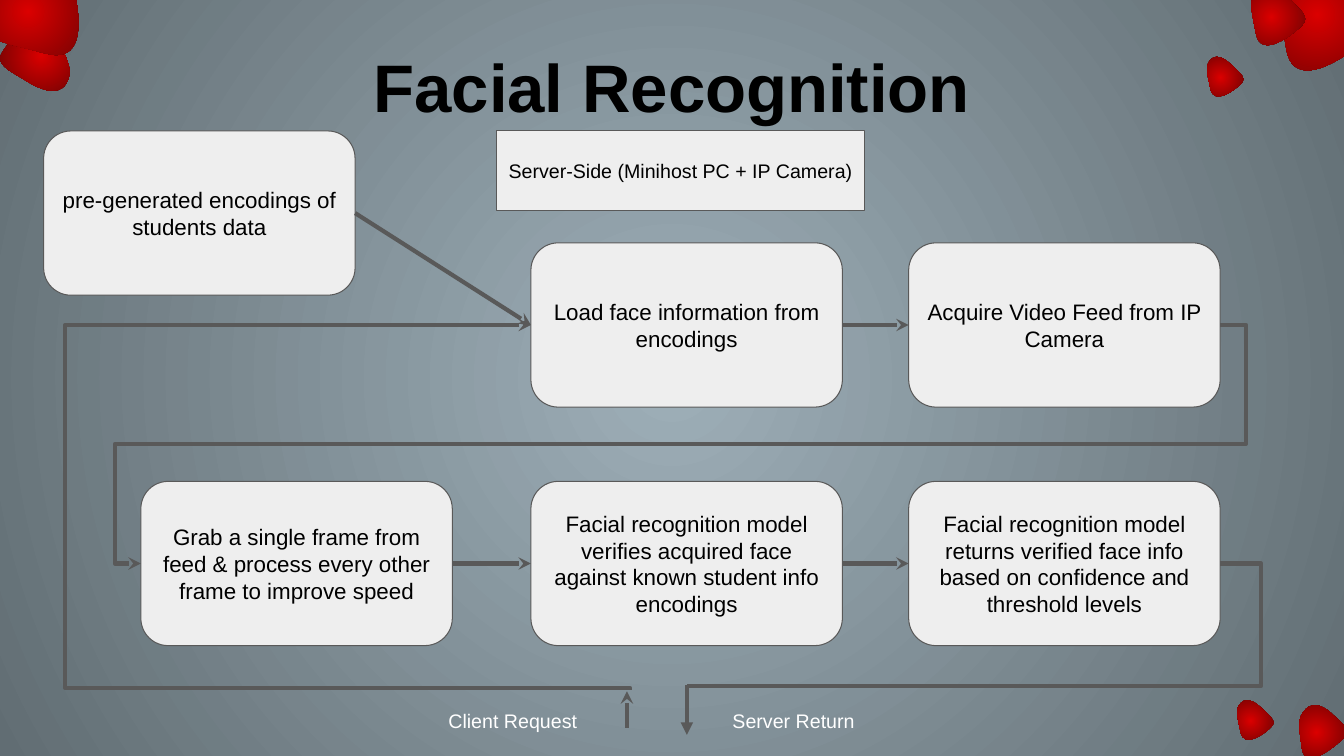
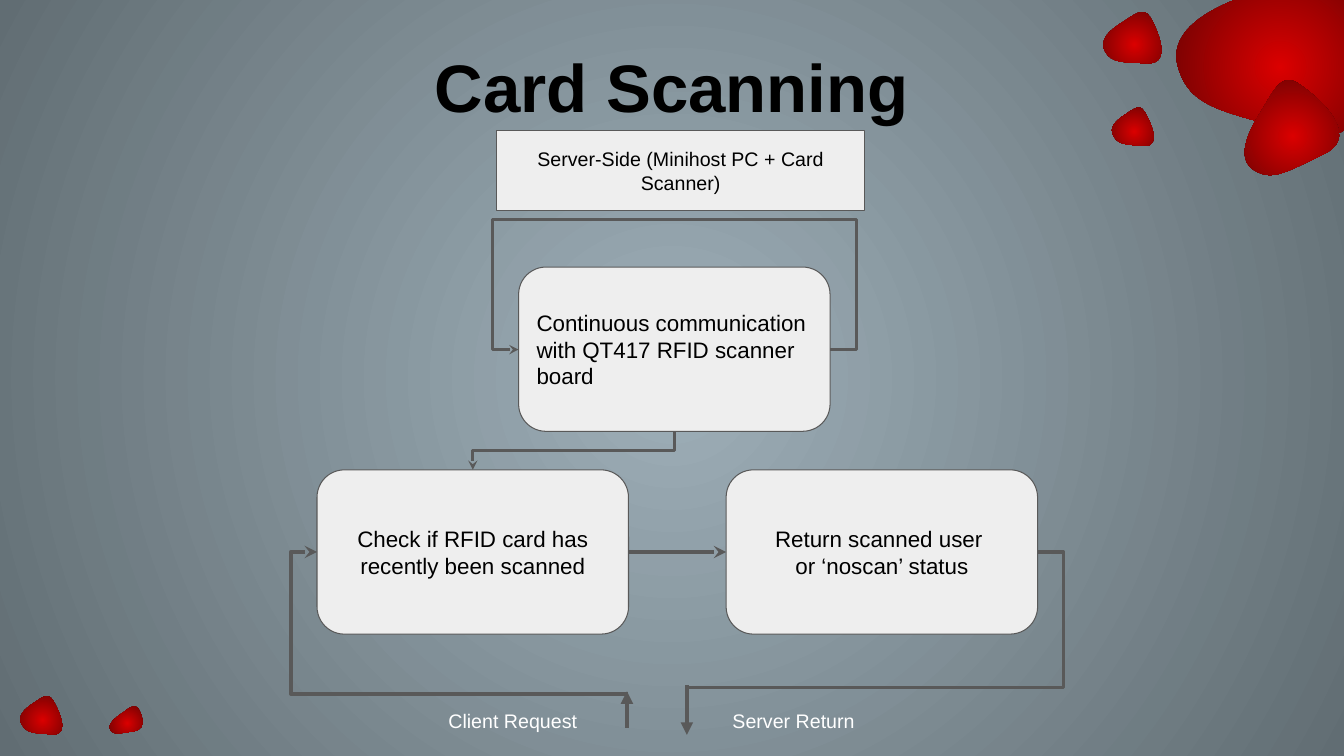
from lxml.etree import SubElement
from pptx import Presentation
from pptx.dml.color import RGBColor
from pptx.enum.shapes import MSO_CONNECTOR, MSO_SHAPE
from pptx.enum.text import MSO_ANCHOR, PP_ALIGN
from pptx.oxml.ns import qn
from pptx.util import Cm, Pt

FONT = "Arial"
BLACK = RGBColor(0x00, 0x00, 0x00)
WHITE = RGBColor(0xFF, 0xFF, 0xFF)
PANEL = RGBColor(0xEE, 0xEE, 0xEE)
STROKE = RGBColor(0x59, 0x59, 0x59)
BACKDROP = (RGBColor(0x9E, 0xAF, 0xB8), RGBColor(0x61, 0x6D, 0x73))
PETAL = (RGBColor(0xDB, 0x00, 0x00), RGBColor(0x54, 0x03, 0x03))

# All positions and sizes below are in centimetres
STEP_SIZE = (7.85, 4.14)
HEADING = (12.52, 3.28, 9.27, 2.03)
LABELS = [("Client Request", 11.05), ("Server Return", 18.21)]
TOP, LEFT, BOTTOM, RIGHT = range(4)  # connection sites of a step

# Petal in a box of 100 by 100: start point, then Bézier curves
PETAL_START = (6, 52)
PETAL_CURVES = [
    ((34, 14), (42, -1), (68, -1)),
    ((94, -1), (99, 28), (99, 52)),
    ((99, 75), (105, 99), (80, 99)),
    ((54, 99), (-22, 90), PETAL_START),
]

# Steps: name -> (left, top, alignment, text)
# Links: start, end, then options; an end is (step, site) or a point;
# bends are the x and y positions where an elbow turns, in turn
SLIDES = [
    {
        "title": "Facial Recognition",
        "heading": "Server-Side (Minihost PC + IP Camera)",
        "steps": {
            "encodings": (1.1, 3.3, PP_ALIGN.CENTER, "pre-generated encodings of students data"),
            "load": (13.38, 6.12, PP_ALIGN.CENTER, "Load face information from encodings"),
            "acquire": (22.9, 6.12, PP_ALIGN.CENTER, "Acquire Video Feed from IP Camera"),
            "grab": (3.55, 12.13, PP_ALIGN.CENTER,
                     "Grab a single frame from feed & process every other frame to improve speed"),
            "verify": (13.38, 12.13, PP_ALIGN.CENTER,
                       "Facial recognition model verifies acquired face against known student info encodings"),
            "result": (22.9, 12.13, PP_ALIGN.CENTER,
                       "Facial recognition model returns verified face info based on confidence and threshold levels"),
        },
        "links": [
            (("encodings", RIGHT), ("load", LEFT), {"tail": "stealth"}),
            (("load", RIGHT), ("acquire", LEFT), {"tail": "stealth"}),
            (("grab", RIGHT), ("verify", LEFT), {"tail": "stealth"}),
            (("verify", RIGHT), ("result", LEFT), {"tail": "stealth"}),
            (("acquire", RIGHT), ("grab", LEFT), {"tail": "stealth", "bends": (31.4, 11.19, 2.9)}),
            (("result", RIGHT), (17.31, 17.28), {"bends": (31.78,)}),
            (("load", LEFT), (15.88, 17.38), {"head": "stealth", "bends": (1.64, 17.33)}),
            ((15.8, 17.42), (15.8, 18.34), {"head": "stealth"}),
        ],
        # Left, top, width, height, rotation
        "petals": [
            (0.28, 0.51, 1.52, 1.78, 122.7),
            (-0.61, -1.07, 2.64, 2.72, 248.8),
            (31.88, -0.99, 2.64, 2.72, 315),
            (31.39, -0.28, 1.3, 1.42, 315),
            (30.33, 1.47, 0.86, 0.97, 315),
            (32.56, 17.86, 1.24, 1.19, 315),
            (31.09, 17.68, 0.86, 0.97, 315),
        ],
    },
    {
        "title": "Card Scanning",
        "heading": "Server-Side (Minihost PC + Card Scanner)",
        "steps": {
            "check": (7.99, 11.84, PP_ALIGN.CENTER, "Check if RFID card has recently been scanned"),
            "return": (18.3, 11.84, PP_ALIGN.CENTER, "Return scanned user \vor ‘noscan’ status"),
            "listen": (13.07, 6.73, PP_ALIGN.LEFT,
                       "Continuous communication with QT417 RFID scanner board"),
        },
        "links": [
            (("check", RIGHT), ("return", LEFT), {"tail": "stealth"}),
            (("check", LEFT), (15.82, 17.48), {"head": "stealth", "bends": (7.33,)}),
            ((15.8, 17.42), (15.8, 18.34), {"head": "triangle"}),
            (("return", RIGHT), (17.32, 17.32), {"bends": (26.8,), "width": 2.25}),
            (("listen", RIGHT), ("listen", LEFT),
             {"tail": "stealth", "bends": (21.59, 5.53, 12.42), "width": 2.25}),
            (("listen", BOTTOM), ("check", TOP), {"tail": "stealth", "drop": True, "width": 2.25}),
        ],
        "petals": [
            (30.25, -0.74, 4.04, 4.85, 253.2),
            (27.94, 0.41, 1.3, 1.42, 238.6),
            (31.55, 2.21, 2.06, 2.44, 212.3),
            (28.09, 2.82, 0.99, 0.99, 237.8),
            (0.58, 17.65, 0.99, 0.99, 237.8),
            (2.92, 17.78, 0.58, 0.89, 235.5),
        ],
    },
]
RETURN_ARROW = ((17.31, 17.27), (17.31, 18.52), {"tail": "triangle"})


def radial_fill(fill, element, colors):
    fill.gradient()
    for stop, color, position in zip(fill.gradient_stops, colors, (0, 1)):
        stop.color.rgb = color
        stop.position = position
    gradient = element.find(".//" + qn("a:gradFill"))
    gradient.remove(gradient.find(qn("a:lin")))
    circle = SubElement(gradient, qn("a:path"), {"path": "circle"})
    SubElement(circle, qn("a:fillToRect"), dict.fromkeys("ltrb", "50000"))


def write(box, text, size, color=BLACK, align=PP_ALIGN.CENTER, anchor=MSO_ANCHOR.MIDDLE, bold=False):
    frame = box.text_frame
    frame.word_wrap = True
    frame.vertical_anchor = anchor
    frame.margin_left = frame.margin_right = Cm(0.25)
    frame.margin_top = frame.margin_bottom = Cm(0.25)
    frame.text = text
    para = frame.paragraphs[0]
    para.alignment = align
    for span in para.runs:
        span.font.name, span.font.size = FONT, Pt(size)
        span.font.bold, span.font.color.rgb = bold, color


def add_title(slide, text):
    title = slide.shapes.title
    title.left, title.top, title.width, title.height = Cm(0), Cm(1), Cm(33.87), Cm(2.3)
    write(title, text, 48, bold=True)
    title.text_frame.margin_top = title.text_frame.margin_bottom = Cm(0.13)


def add_panel(slide, kind, place, text, size, align=PP_ALIGN.CENTER):
    panel = slide.shapes.add_shape(kind, *map(Cm, place))
    panel.shadow.inherit = False
    panel.fill.solid()
    panel.fill.fore_color.rgb = PANEL
    panel.line.color.rgb = STROKE
    panel.line.width = Pt(0.75)
    write(panel, text, size, align=align)
    return panel


def locate(end, boxes):
    """Return the step (or None), its site and the point of a link end."""
    if end[0] not in boxes:
        return None, None, (Cm(end[0]), Cm(end[1]))
    box, site = boxes[end[0]], end[1]
    across, down = {TOP: (0.5, 0), LEFT: (0, 0.5), BOTTOM: (0.5, 1), RIGHT: (1, 0.5)}[site]
    return box, site, (box.left + int(box.width * across), box.top + int(box.height * down))


def add_link(slide, boxes, start, end, head=None, tail=None, bends=(), drop=False, width=3):
    start_box, start_site, begin = locate(start, boxes)
    end_box, end_site, finish = locate(end, boxes)
    kind = MSO_CONNECTOR.ELBOW if bends or drop else MSO_CONNECTOR.STRAIGHT
    link = slide.shapes.add_connector(kind, *begin, *finish)
    if start_box is not None:
        link.begin_connect(start_box, start_site)
    if end_box is not None:
        link.end_connect(end_box, end_site)
    properties = link._element.spPr

    # Elbow turns are shares of the distance between both ends
    if bends:
        span = [finish[0] - begin[0], finish[1] - begin[1]]
        if span[1] == 0:  # a level loop needs some height to scale by
            span[1] = link.height = Cm(0.01)
        geometry = properties.find(qn("a:prstGeom"))
        geometry.set("prst", f"bentConnector{len(bends) + 2}")
        guides = geometry.find(qn("a:avLst"))
        for index, bend in enumerate(bends):
            axis = index % 2
            share = round((Cm(bend) - begin[axis]) / span[axis] * 100000)
            SubElement(guides, qn("a:gd"), name=f"adj{index + 1}", fmla=f"val {share}")

    # An elbow that leaves downwards to the left is a quarter turn
    if drop:
        wide, high = begin[0] - finish[0], finish[1] - begin[1]
        link.left = (begin[0] + finish[0] - high) // 2
        link.top = (begin[1] + finish[1] - wide) // 2
        link.width, link.height = high, wide
        frame = properties.find(qn("a:xfrm"))
        frame.attrib.clear()
        frame.set("rot", "5400000")

    link.line.color.rgb = STROKE
    link.line.width = Pt(width)
    line = properties.find(qn("a:ln"))
    for tag, arrow in (("a:headEnd", head), ("a:tailEnd", tail)):
        if arrow:
            SubElement(line, qn(tag), type=arrow)
    SubElement(properties, qn("a:effectLst"))


def add_petal(slide, left, top, width, height, rotation):
    # The frame comes first, then the curves take the place of its corners
    x, y, right, bottom = map(Cm, (left, top, left + width, top + height))
    builder = slide.shapes.build_freeform(x, y)
    builder.add_line_segments([(right, y), (right, bottom), (x, bottom)], close=True)
    petal = builder.convert_to_shape()
    outlines = petal._element.find(".//" + qn("a:pathLst"))
    outlines.remove(outlines[0])
    outline = SubElement(outlines, qn("a:path"), w="100", h="100")
    moves = [("a:moveTo", [PETAL_START])] + [("a:cubicBezTo", curve) for curve in PETAL_CURVES]
    for tag, points in moves:
        move = SubElement(outline, qn(tag))
        for across, down in points:
            SubElement(move, qn("a:pt"), x=str(across), y=str(down))
    SubElement(outline, qn("a:close"))

    petal.rotation = rotation
    petal.shadow.inherit = False
    petal.line.fill.background()
    radial_fill(petal.fill, petal._element, PETAL)


def build_slide(deck, content):
    slide = deck.slides.add_slide(deck.slide_layouts[5])
    add_title(slide, content["title"])
    boxes = {
        name: add_panel(slide, MSO_SHAPE.ROUNDED_RECTANGLE, (left, top, *STEP_SIZE), text, 16, align)
        for name, (left, top, align, text) in content["steps"].items()
    }
    add_panel(slide, MSO_SHAPE.RECTANGLE, HEADING, content["heading"], 14)
    for start, end, options in content["links"] + [RETURN_ARROW]:
        add_link(slide, boxes, start, end, **options)
    for text, left in LABELS:
        label = slide.shapes.add_textbox(Cm(left), Cm(17.62), Cm(3.94), Cm(1.12))
        write(label, text, 14, WHITE, PP_ALIGN.LEFT, MSO_ANCHOR.TOP)
    for petal in content["petals"]:
        add_petal(slide, *petal)


def main():
    deck = Presentation()
    deck.slide_width, deck.slide_height = Cm(33.87), Cm(19.05)
    master = deck.slide_master
    radial_fill(master.background.fill, master._element, BACKDROP)
    for content in SLIDES:
        build_slide(deck, content)
    deck.save("out.pptx")


if __name__ == "__main__":
    main()
